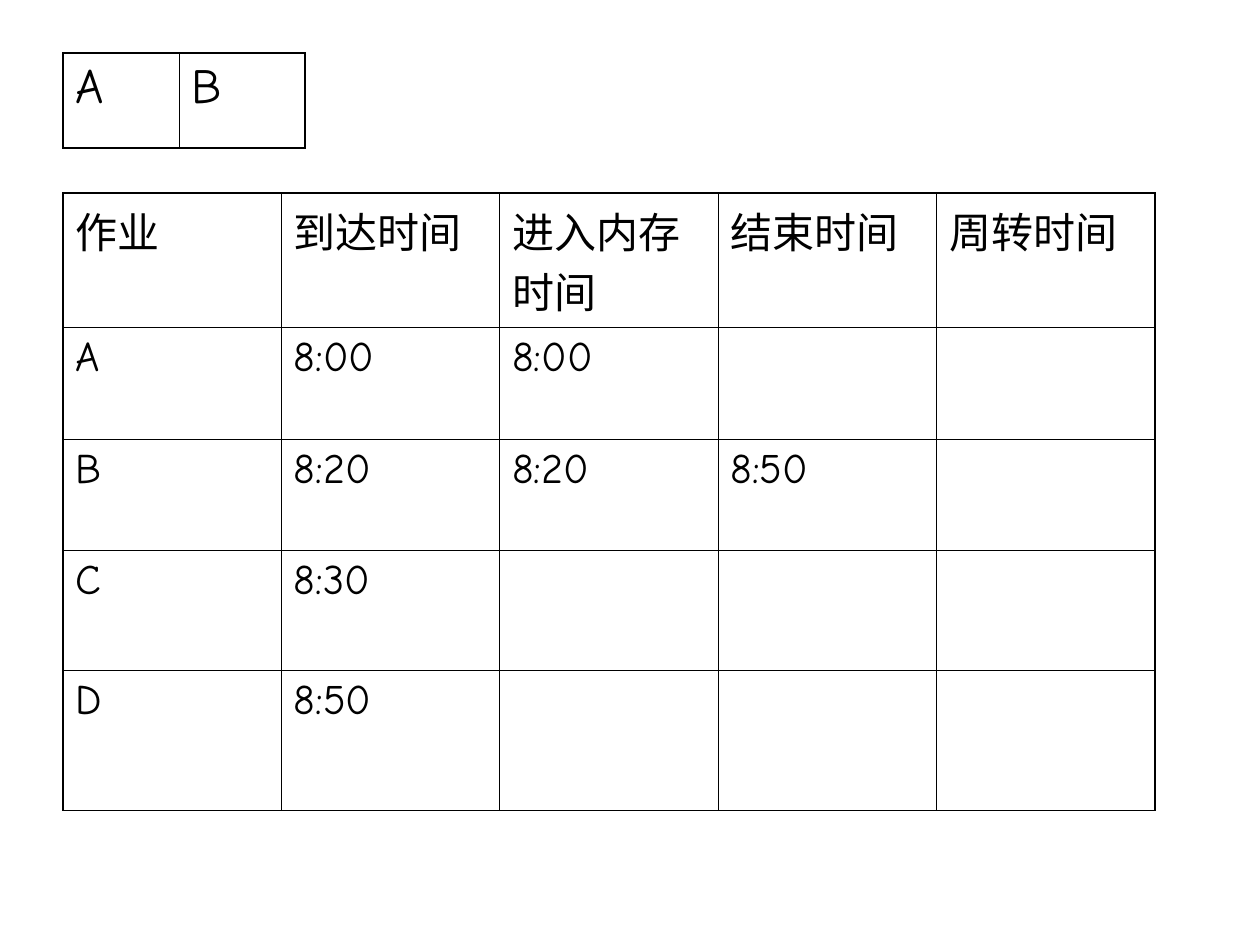
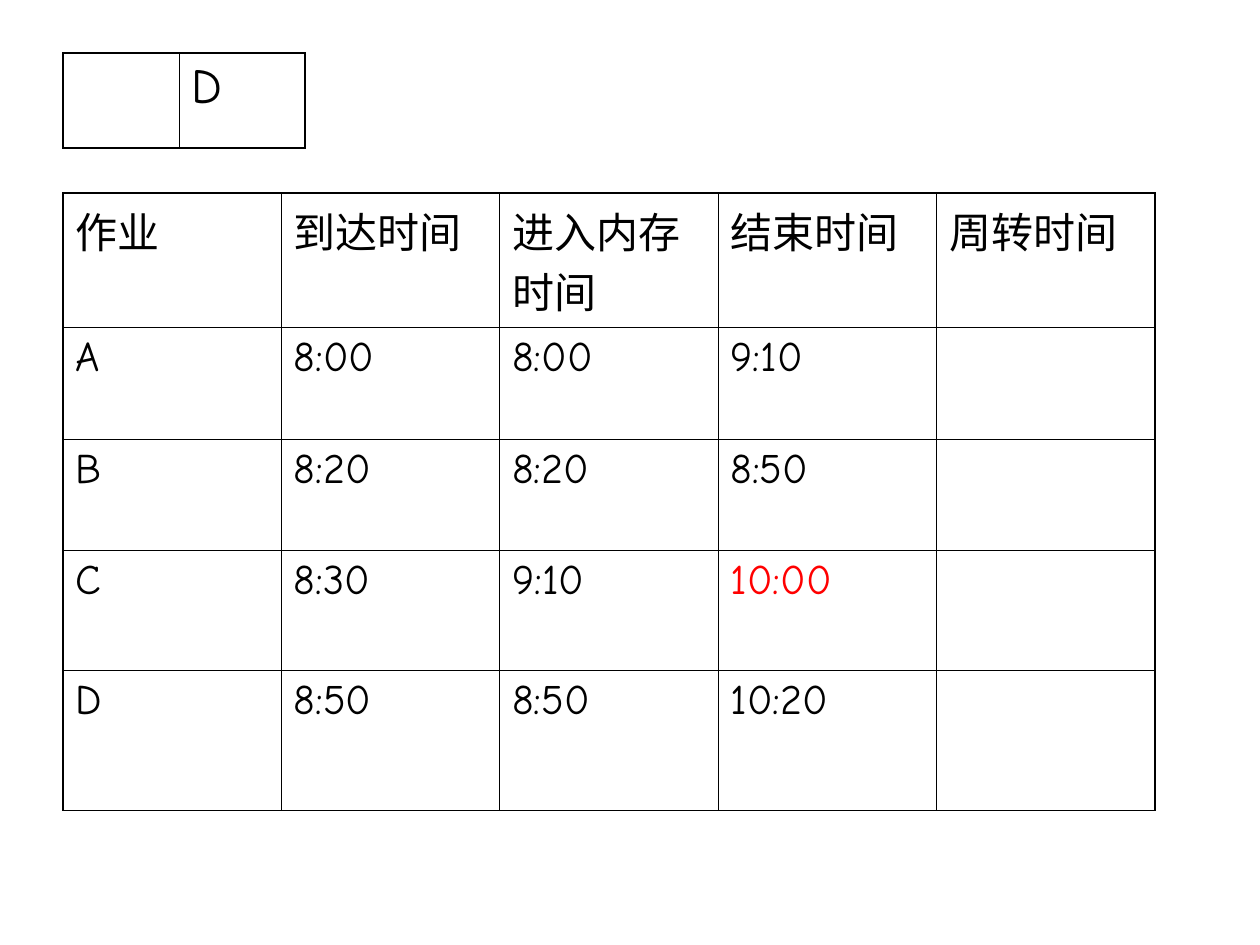
"""Two job scheduling slides: jobs in memory above a table of times."""
from lxml import etree
from pptx import Presentation
from pptx import util as u
from pptx.dml.color import RGBColor
from pptx.oxml.ns import qn

BLACK = RGBColor(0, 0, 0)
RED = RGBColor(255, 0, 0)
FONT = "Comic Neue"
PX = u.Inches(1) / 126
THICK, THIN = 1.08, 0.45

HEAD = ["作业", "到达时间", "进入内存时间", "结束时间", "周转时间"]
JOBS = [("A", "8:00"), ("B", "8:20"), ("C", "8:30"), ("D", "8:50")]
STEPS = [
    {
        "memory": ["A", "B"],
        "times": [("8:00", ""), ("8:20", "8:50"), ("", ""), ("", "")],
        "red": [],
    },
    {
        "memory": ["", "D"],
        "times": [("8:00", "9:10"), ("8:20", "8:50"),
                  ("9:10", "10:00"), ("8:50", "10:20")],
        "red": ["10:00"],
    },
]

LEFT, MEM_TOP, JOB_TOP = 63, 53, 193
MEM_COLS, MEM_ROWS = [116, 126], [95]
JOB_WIDTH = 1092
JOB_COLS = [JOB_WIDTH / len(HEAD)] * len(HEAD)
JOB_ROWS = [115, 112, 111, 120, 140]


def emu(px):
    return u.Emu(round(px * PX))


def edge(cell, outer):
    props = cell._tc.get_or_add_tcPr()
    for side in "LRTB":
        width = u.Pt(THICK if outer[side] else THIN)
        line = etree.SubElement(props, qn(f"a:ln{side}"), w=str(int(width)))
        fill = etree.SubElement(line, qn("a:solidFill"))
        etree.SubElement(fill, qn("a:srgbClr"), val=str(BLACK))


def grid(slide, top, cols, rows, data, size, before, red=()):
    frame = slide.shapes.add_table(len(rows), len(cols), emu(LEFT), emu(top),
                                   emu(sum(cols)), emu(sum(rows)))
    table = frame.table
    table.first_row = table.horz_banding = False
    for col, width in zip(table.columns, cols):
        col.width = emu(width)
    for r, (row, height) in enumerate(zip(table.rows, rows)):
        row.height = emu(height)
        for c, cell in enumerate(row.cells):
            edge(cell, {"L": c == 0, "R": c == len(cols) - 1,
                        "T": r == 0, "B": r == len(rows) - 1})
            cell.fill.background()
            word = data[r][c]
            cell.text = word
            para = cell.text_frame.paragraphs[0]
            para.space_before = u.Pt(before)
            para.font.size = u.Pt(size)
            para.font.name = FONT
            para.font.color.rgb = RED if word in red else BLACK


def main():
    deck = Presentation()
    deck.slide_width, deck.slide_height = u.Inches(10), u.Inches(7.5)
    for step in STEPS:
        slide = deck.slides.add_slide(deck.slide_layouts[6])
        grid(slide, MEM_TOP, MEM_COLS, MEM_ROWS, [step["memory"]], 28, 7)
        body = [[*job, *pair, ""] for job, pair in zip(JOBS, step["times"])]
        grid(slide, JOB_TOP, JOB_COLS, JOB_ROWS, [HEAD, *body], 24, 6,
             step["red"])
    deck.save("out.pptx")


if __name__ == "__main__":
    main()
